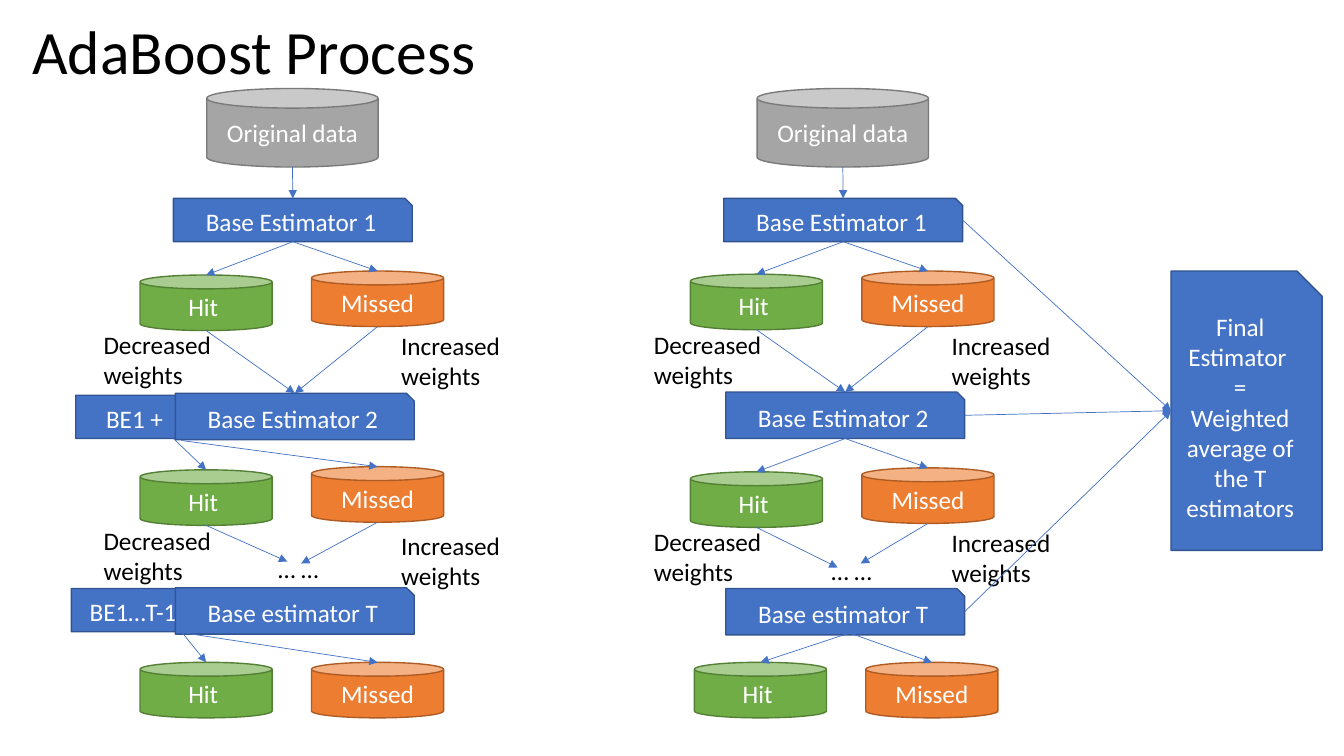
from lxml import etree
from pptx import Presentation
from pptx.dml.color import RGBColor
from pptx.enum.shapes import MSO_CONNECTOR, MSO_SHAPE
from pptx.enum.text import MSO_ANCHOR, MSO_AUTO_SIZE, PP_ALIGN
from pptx.oxml.ns import qn
from pptx.util import Cm, Pt

STRAIGHT = MSO_CONNECTOR.STRAIGHT
CAN = MSO_SHAPE.CAN
SNIPPED = MSO_SHAPE.SNIP_1_RECTANGLE
MIDDLE, TOP = MSO_ANCHOR.MIDDLE, MSO_ANCHOR.TOP
LEFT, CENTER = PP_ALIGN.LEFT, PP_ALIGN.CENTER
NO_FIT, GROW = MSO_AUTO_SIZE.NONE, MSO_AUTO_SIZE.SHAPE_TO_FIT_TEXT
TOP_SITE, LEFT_SITE, BOTTOM_SITE, RIGHT_SITE = range(4)

COLORS = {
    "text": "000000",
    "light_text": "FFFFFF",
    "estimator": "4472C4",
    "estimator_line": "325491",
    "data": "A5A5A5",
    "data_line": "7A7A7A",
    "hit": "70AD47",
    "hit_line": "538035",
    "missed": "ED7D31",
    "missed_line": "AF5C24",
}

COLUMNS = [
    {
        "shift": 0,
        "estimator_tops": [5.0, 9.91, 14.81],
        "hit_tops": [6.93, 11.84, 16.69],
        "missed_tops": [6.83, 11.76, 16.69],
        "can_shifts": [0, 0, 0],
        "increased_tops": [8.2, 13.23],
        "decreased_tops": [8.18, 13.11],
        "dots": (6.76, 13.82),
        "dots_targets": [(7.24, 14.15), (7.59, 14.2)],
        "sources": [None, [(4.37, 11.05), (4.57, 11.1)], [(4.6, 15.95), (4.65, 15.95)]],
        "earlier": [("BE1 + ", 1.91, 9.96), ("BE1…T-1", 1.8, 14.83)],
    },
    {
        "shift": 13.87,
        "estimator_tops": [5.0, 9.88, 14.83],
        "hit_tops": [6.91, 11.89, 16.69],
        "missed_tops": [6.83, 11.79, 16.69],
        "can_shifts": [0, 0, 0.1],
        "increased_tops": [8.2, 13.16],
        "decreased_tops": [8.18, 13.13],
        "dots": (20.7, 13.87),
        "dots_targets": [(21.11, 14.3), (21.69, 14.2)],
        "sources": [None, None, [(21.41, 15.95)] * 2],
        "earlier": [],
    },
]
ESTIMATORS = [
    ("Base Estimator 1", 4.37, 1.09),
    ("Base Estimator 2", 4.42, 1.17),
    ("Base estimator T", 4.42, 1.17),
]


def color(name):
    return RGBColor.from_string(COLORS[name])


def set_values(target, values):
    for name, value in values.items():
        setattr(target, name, value)


def write(shape, lines, text_color, alignment, frame_values, size=18):
    frame = shape.text_frame
    set_values(frame, {"word_wrap": True, **frame_values})
    for index, line in enumerate(lines):
        paragraph = frame.paragraphs[0] if index == 0 else frame.add_paragraph()
        paragraph.alignment = alignment
        run = paragraph.add_run()
        run.text = line
        set_values(run.font, {"name": "Calibri", "size": Pt(size)})
        run.font.color.rgb = color(text_color)


def add_block(slide, kind, role, lines, left, top, width, height):
    shape = slide.shapes.add_shape(kind, Cm(left), Cm(top), Cm(width), Cm(height))
    shape.shadow.inherit = False
    shape.fill.solid()
    shape.fill.fore_color.rgb = color(role)
    shape.line.color.rgb = color(role + "_line")
    shape.line.width = Pt(1)
    write(shape, lines, "light_text", CENTER, {"vertical_anchor": MIDDLE})
    return shape


def add_label(slide, text, left, top, height=1.8):
    box = slide.shapes.add_textbox(Cm(left), Cm(top), Cm(4.52), Cm(height))
    write(box, [text], "text", LEFT, {"vertical_anchor": TOP, "auto_size": GROW})


def add_arrow(slide, start=(0, 0), end=(0, 0), begin_join=None, end_join=None):
    arrow = slide.shapes.add_connector(STRAIGHT, *start, *end)
    if begin_join:
        arrow.begin_connect(*begin_join)
    if end_join:
        arrow.end_connect(*end_join)
    arrow.line.color.rgb = color("estimator")
    arrow.line.width = Pt(0.5)
    etree.SubElement(arrow.line._get_or_add_ln(), qn("a:tailEnd"), type="triangle")
    etree.SubElement(arrow._element.spPr, qn("a:effectLst"))


def point(left, top):
    return Cm(left), Cm(top)


def top_middle(shape):
    return shape.left + shape.width // 2, shape.top


def bottom_middle(shape):
    return shape.left + shape.width // 2, shape.top + shape.height


def add_title(slide):
    title = slide.shapes.title
    set_values(title, {"left": Cm(0.56), "top": Cm(-0.46), "width": Cm(29.21), "height": Cm(3.68)})
    write(title, ["AdaBoost Process"], "text", LEFT,
          {"vertical_anchor": MIDDLE, "auto_size": NO_FIT}, 44)
    title.text_frame.paragraphs[0].line_spacing = 0.9


def add_column(slide, column):
    shift = column["shift"]
    data = add_block(slide, CAN, "data", ["Original data"], 5.21 + shift, 2.23, 4.32, 1.98)
    for text, left, top in column["earlier"]:
        add_block(slide, SNIPPED, "estimator", [text], left, top, 3.2, 1.09)
    estimators = [
        add_block(slide, SNIPPED, "estimator", [text], left + shift, top, 6.02, height)
        for (text, left, height), top in zip(ESTIMATORS, column["estimator_tops"])
    ]
    add_arrow(slide, bottom_middle(data), end_join=(estimators[0], TOP_SITE))

    for index, estimator in enumerate(estimators):
        left = shift + column["can_shifts"][index]
        cans = [
            add_block(slide, CAN, "hit", ["Hit "], 3.53 + left,
                      column["hit_tops"][index], 3.33, 1.4),
            add_block(slide, CAN, "missed", ["Missed"], 7.85 + left,
                      column["missed_tops"][index], 3.33, 1.4),
        ]
        sources = column["sources"][index]
        for side, can in enumerate(cans):
            if sources:
                add_arrow(slide, point(*sources[side]), top_middle(can))
            else:
                add_arrow(slide, end=top_middle(can), begin_join=(estimator, BOTTOM_SITE))
            if index == 0:
                add_arrow(slide, bottom_middle(can), end_join=(estimators[1], TOP_SITE))
            elif index == 1:
                add_arrow(slide, bottom_middle(can), point(*column["dots_targets"][side]))

    for top in column["increased_tops"]:
        add_label(slide, "Increased weights", 9.86 + shift, top)
    for top in column["decreased_tops"]:
        add_label(slide, "Decreased weights", 2.36 + shift, top)
    add_label(slide, "… …", *column["dots"], height=1.02)
    return estimators


def main():
    presentation = Presentation()
    set_values(presentation, {"slide_width": Cm(33.87), "slide_height": Cm(19.05)})
    slide = presentation.slides.add_slide(presentation.slide_layouts[5])
    add_title(slide)
    columns = [add_column(slide, column) for column in COLUMNS]
    final_lines = ["Final", "Estimator ", "=", "Weighted average of the T estimators"]
    final = add_block(slide, SNIPPED, "estimator", final_lines, 29.51, 6.83, 3.81, 7.04)
    for estimator in columns[-1]:
        add_arrow(slide, begin_join=(estimator, RIGHT_SITE), end_join=(final, LEFT_SITE))
    presentation.save("out.pptx")


if __name__ == "__main__":
    main()
